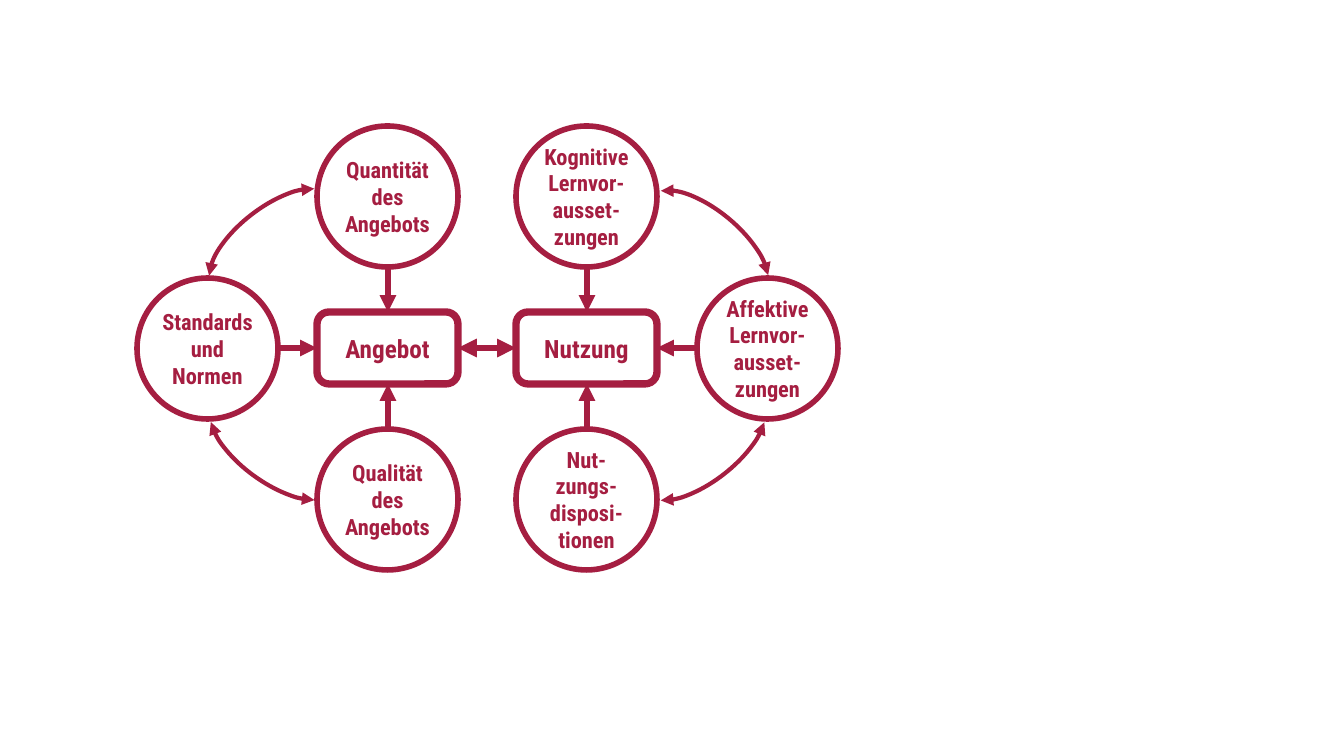
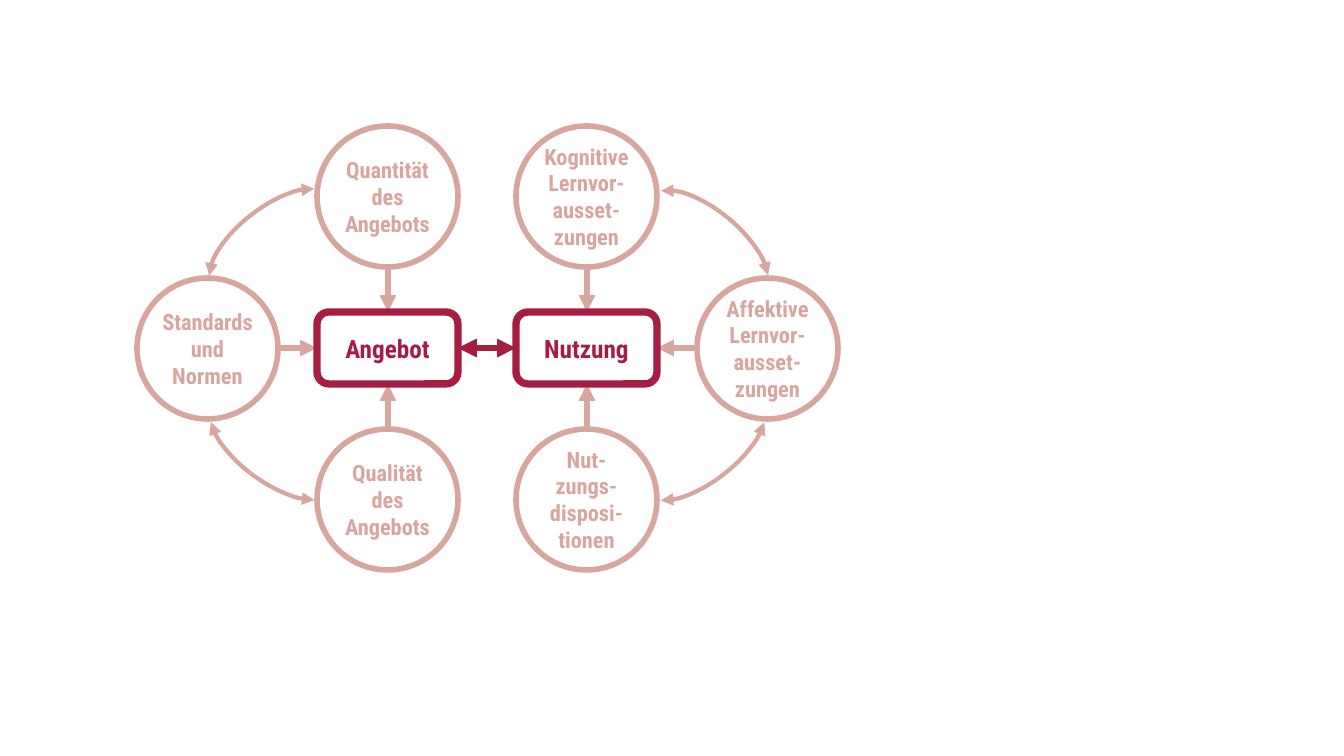
from dataclasses import dataclass

from lxml import etree
from pptx import Presentation
from pptx import util as u
from pptx.dml.color import RGBColor
from pptx.enum import shapes, text
from pptx.oxml import ns

SCALE = 914400 / 100.8
RED = RGBColor(0xA5, 0x1E, 0x41)
PALE = RGBColor(0xD8, 0xA6, 0x9F)
FONT = "Roboto Condensed"
KIND = shapes.MSO_SHAPE

SIDE = 141                      # circle diameter and box width
TALL = 72                       # box height
COLS = (137, 317, 516, 697)     # left edges
ROWS = (126, 278, 429)          # top edges of the circles
MID = ROWS[1] + SIDE // 2
TOP = MID - TALL // 2
FRAME = dict(word_wrap=True, vertical_anchor=text.MSO_ANCHOR.MIDDLE)


@dataclass(frozen=True)
class Node:
    """A labelled circle or box."""
    label: str
    left: int
    top: int
    inset: int = 4
    high: int = SIDE
    kind: KIND = KIND.OVAL
    line: float = 4
    size: int = 16


@dataclass(frozen=True)
class Link:
    """A straight arrow."""
    x1: int
    y1: int
    x2: int
    y2: int
    line: float = 4
    both: bool = False


@dataclass(frozen=True)
class Arc:
    """A curved double arrow."""
    left: int
    top: int
    turn: float
    start: float


def box(label: str, col: int) -> Node:
    """Describe a central box in the given column."""
    return Node(label, COLS[col], TOP, 10, TALL, KIND.ROUNDED_RECTANGLE, 5.25, 18)


RING = (
    Node("Quantität des Angebots", COLS[1], ROWS[0]),
    Node("Qualität des Angebots", COLS[1], ROWS[2]),
    Node("Standards und Normen", COLS[0], ROWS[1], 0),
    Node("Kognitive Lernvor- ausset-zungen", COLS[2], ROWS[0]),
    Node("Nut- zungs-disposi-tionen", COLS[2], ROWS[2]),
    Node("Affektive Lernvor- ausset-zungen", COLS[3], ROWS[1], 0),
)
CORE = (box("Angebot", 1), box("Nutzung", 2))
AXES = [COLS[col] + SIDE // 2 + 1 for col in (1, 2)]
LINKS = (
    *(Link(x, ROWS[0] + SIDE, x, TOP) for x in AXES),
    *(Link(x, ROWS[2], x, TOP + TALL) for x in AXES),
    Link(COLS[0] + SIDE, MID, COLS[1], MID),
    Link(COLS[3], MID, COLS[2] + SIDE, MID),
)
BRIDGE = Link(COLS[1] + SIDE, MID, COLS[2], MID, 4.5, True)
ARCS = (
    Arc(197, 208, 322.1, 113.47),
    Arc(199, 415, 216, 117.27),
    Arc(633, 211, 39.9, 113.47),
    Arc(629, 414, 142, 117.27),
)


def px(count: float) -> u.Emu:
    """Turn pixels into EMU."""
    return u.Emu(round(count * SCALE))


def apply(item, values: dict) -> None:
    """Set each named attribute on an object."""
    for name, value in values.items():
        setattr(item, name, value)


def stroke(item, tint: RGBColor, wide: float, ends: tuple = ()) -> None:
    """Style an outline and add triangle arrowheads at its ends."""
    item.line.color.rgb = tint
    item.line.width = u.Pt(wide)
    for end in ends:
        tip = etree.SubElement(item.line._get_or_add_ln(), ns.qn(f"a:{end}"))
        tip.set("type", "triangle")


def shape(slide, kind: KIND, *area: int):
    """Add an unfilled shape without a shadow."""
    item = slide.shapes.add_shape(kind, *map(px, area))
    item.shadow.inherit = False
    item.fill.background()
    return item


def node(slide, spot: Node, tint: RGBColor) -> None:
    """Draw a circle or box with its label."""
    item = shape(slide, spot.kind, spot.left, spot.top, SIDE, spot.high)
    stroke(item, tint, spot.line)
    frame = item.text_frame
    side, edge = px(spot.inset), px(5)
    apply(frame, FRAME | dict(margin_left=side, margin_right=side,
                              margin_top=edge, margin_bottom=edge))
    para = frame.paragraphs[0]
    para.alignment = text.PP_ALIGN.CENTER
    run = para.add_run()
    run.text = spot.label
    apply(run.font, dict(name=FONT, size=u.Pt(spot.size), bold=True))
    run.font.color.rgb = tint


def link(slide, way: Link, tint: RGBColor) -> None:
    """Draw a straight arrow."""
    ends = map(px, (way.x1, way.y1, way.x2, way.y2))
    item = slide.shapes.add_connector(shapes.MSO_CONNECTOR.STRAIGHT, *ends)
    stroke(item, tint, way.line, ("headEnd", "tailEnd") if way.both else ("tailEnd",))
    etree.SubElement(item._element.spPr, ns.qn("a:effectLst"))


def arc(slide, bend: Arc, tint: RGBColor) -> None:
    """Draw a curved double arrow."""
    item = shape(slide, KIND.ARC, bend.left, bend.top, 149, 67)
    item.rotation = bend.turn
    item.adjustments[0] = bend.start
    item.adjustments[1] = 208.16
    stroke(item, tint, 3, ("headEnd", "tailEnd"))


def model(deck, tint: RGBColor) -> None:
    """Add a slide with the model, its outer ring in the given colour."""
    slide = deck.slides.add_slide(deck.slide_layouts[6])
    for draw, parts in ((node, RING), (link, LINKS), (arc, ARCS)):
        for part in parts:
            draw(slide, part, tint)
    link(slide, BRIDGE, RED)
    for part in CORE:
        node(slide, part, RED)


def main() -> None:
    """Build and save the deck."""
    deck = Presentation()
    apply(deck, dict(slide_width=px(1344), slide_height=px(756)))
    for tint in (RED, PALE):
        model(deck, tint)
    deck.save("out.pptx")


main()
